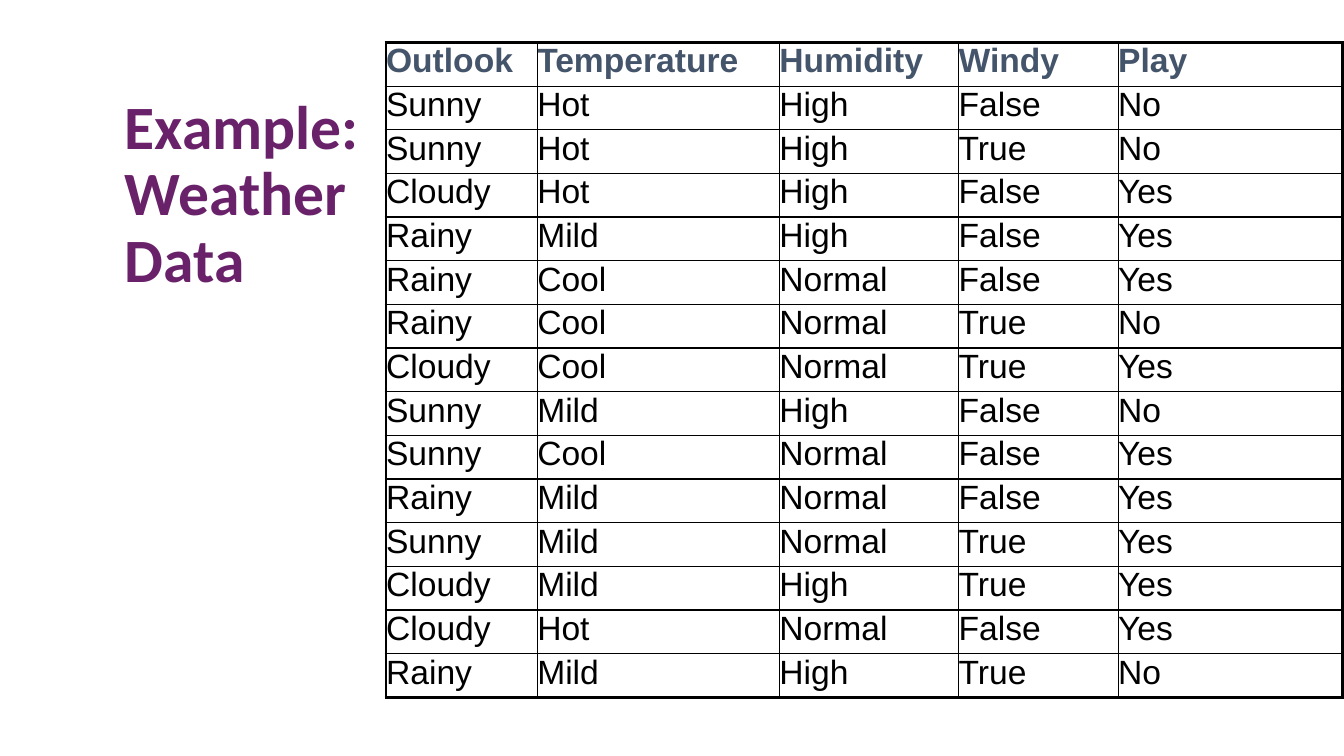
import pptx
import pptx.dml.color
import pptx.enum.text
import pptx.oxml
import pptx.oxml.ns
import pptx.util

Cm = pptx.util.Cm
Pt = pptx.util.Pt


def color(hex_value):
    return pptx.dml.color.RGBColor.from_string(hex_value)


class WeatherSlide:
    PURPLE, SLATE, BLACK, WHITE = "69216A", "44546A", "000000", "FFFFFF"
    TITLE_FONT, TABLE_FONT = "Calibri", "Arial"
    THIN, THICK = 1, 2.25

    def __init__(self, prs):
        self.slide = prs.slides.add_slide(prs.slide_layouts[6])

    def add_text(self, paragraph, text, font, size, hex_value, bold):
        run = paragraph.add_run()
        run.text = text
        run.font.name = font
        run.font.size = Pt(size)
        run.font.bold = bold
        run.font.color.rgb = color(hex_value)

    def title(self, lines, left, top, width, height):
        frame = self.slide.shapes.add_textbox(
            Cm(left), Cm(top), Cm(width), Cm(height)).text_frame
        frame.word_wrap = True
        frame.vertical_anchor = pptx.enum.text.MSO_ANCHOR.TOP
        heading = frame.paragraphs[0]
        heading.line_spacing = 0.9
        for index, line in enumerate(lines):
            if index:
                heading.add_line_break()
            self.add_text(heading, line, self.TITLE_FONT, 44, self.PURPLE, True)

    def borders(self, cell, widths):
        """Draw the left, right, top and bottom borders, in points."""
        properties = cell._tc.get_or_add_tcPr()
        for index, (side, width) in enumerate(zip("LRTB", widths)):
            properties.insert(index, pptx.oxml.parse_xml(
                f'<a:ln{side} {pptx.oxml.ns.nsdecls("a")} w="{Pt(width)}">'
                f'<a:solidFill><a:srgbClr val="{self.BLACK}"/></a:solidFill>'
                f'</a:ln{side}>'))

    def table(self, records, left, top, column_widths, row_height):
        last_row, last_column = len(records) - 1, len(column_widths) - 1
        grid = self.slide.shapes.add_table(
            len(records), len(column_widths), Cm(left), Cm(top),
            Cm(sum(column_widths)), Cm(row_height * len(records))).table
        grid.first_row = grid.horz_banding = False
        for column, width in zip(grid.columns, column_widths):
            column.width = Cm(width)
        for r, record in enumerate(records):
            grid.rows[r].height = Cm(row_height)
            header = r == 0
            for c, value in enumerate(record):
                cell = grid.cell(r, c)
                cell.margin_left = cell.margin_right = 0
                cell.margin_top = cell.margin_bottom = 0
                cell.fill.solid()
                cell.fill.fore_color.rgb = color(self.WHITE)
                self.add_text(cell.text_frame.paragraphs[0], value,
                              self.TABLE_FONT, 24,
                              self.SLATE if header else self.BLACK, header)
                # Thick lines only around the outside of the table
                outer = (c == 0, c == last_column, header, r == last_row)
                self.borders(cell, [self.THICK if edge else self.THIN
                                    for edge in outer])


WEATHER = """\
Outlook Temperature Humidity Windy Play
Sunny Hot High False No
Sunny Hot High True No
Cloudy Hot High False Yes
Rainy Mild High False Yes
Rainy Cool Normal False Yes
Rainy Cool Normal True No
Cloudy Cool Normal True Yes
Sunny Mild High False No
Sunny Cool Normal False Yes
Rainy Mild Normal False Yes
Sunny Mild Normal True Yes
Cloudy Mild High True Yes
Cloudy Hot Normal False Yes
Rainy Mild High True No"""


def main():
    prs = pptx.Presentation()
    prs.slide_width, prs.slide_height = Cm(33.87), Cm(19.05)
    weather = WeatherSlide(prs)

    # Heading
    weather.title(["Example:", "Weather", "Data"], 2.9, 2.29, 29.13, 4.06)

    # Weather observations
    weather.table([line.split() for line in WEATHER.splitlines()],
                  9.73, 1.07, [3.81, 6.1, 4.52, 4.02, 5.66], 1.1)

    prs.save("out.pptx")


if __name__ == "__main__":
    main()
